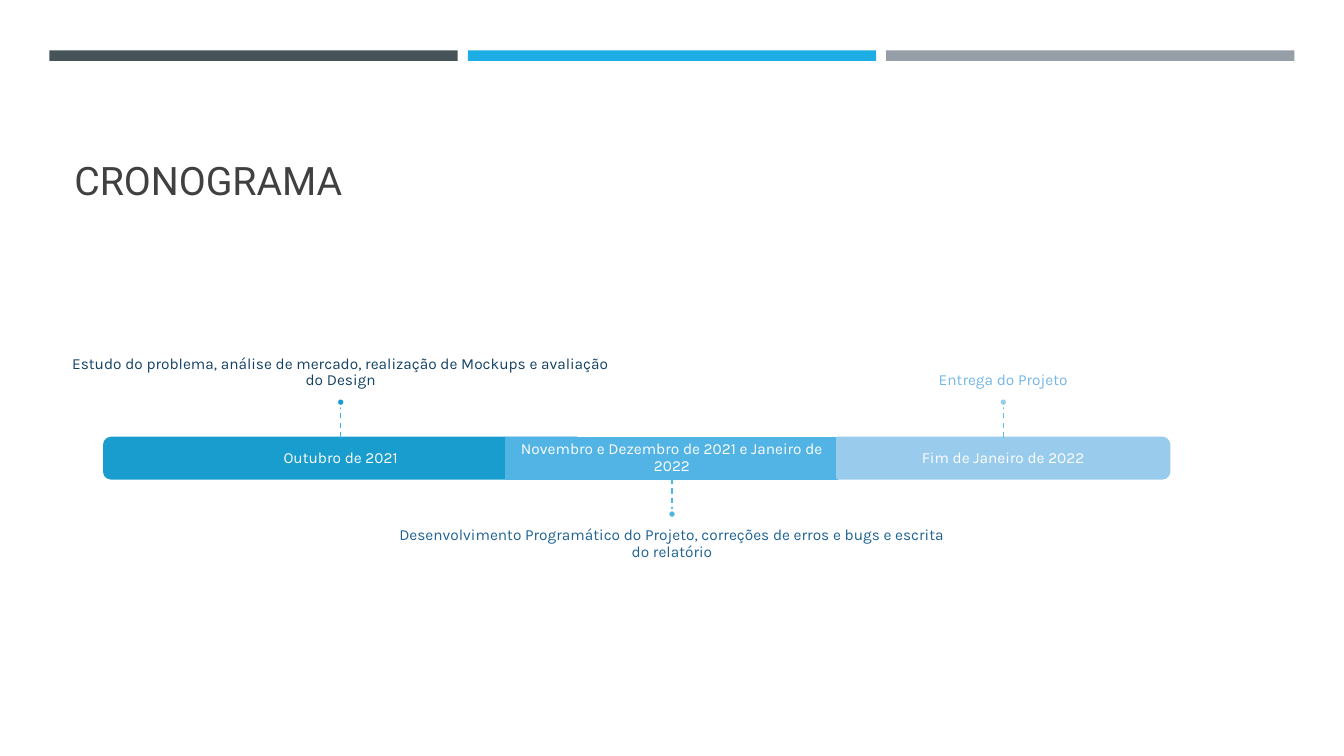
from collections import namedtuple

from lxml import etree
from pptx import Presentation
from pptx.dml.color import RGBColor
from pptx.enum.dml import MSO_LINE
from pptx.enum.shapes import MSO_CONNECTOR, MSO_SHAPE
from pptx.enum.text import MSO_ANCHOR, PP_ALIGN
from pptx.oxml.ns import qn
from pptx.util import Inches, Pt

RECTANGLE = MSO_SHAPE.RECTANGLE
ROUNDED_END = MSO_SHAPE.ROUND_2_SAME_RECTANGLE
OVAL = MSO_SHAPE.OVAL
STRAIGHT = MSO_CONNECTOR.STRAIGHT
DASH = MSO_LINE.DASH
TOP, MIDDLE, BOTTOM = MSO_ANCHOR.TOP, MSO_ANCHOR.MIDDLE, MSO_ANCHOR.BOTTOM
LEFT, CENTER = PP_ALIGN.LEFT, PP_ALIGN.CENTER

WIDTH, HEIGHT = Inches(13.33), Inches(7.5)
COLORS = {
    "white": "FFFFFF", "title": "404040",
    "slate": "465359", "cyan": "1CADE4", "gray": "969FA7",
    "start": "199DCF", "start_line": "36B3E9", "start_text": "134163",
    "work": "52B3E5", "work_line": "48B8EC", "work_text": "1D6294",
    "end": "99CBEC", "end_line": "5ABEEF", "end_text": "75B6E5",
}

BAND_CENTER, BAND_HALF = 60.6, 2.67
FIRST_CENTER, PHASE_PITCH = 25.35, 24.65
LINE_REACH, DOT_REACH, CAPTION_REACH = 6.87, 7.4, 7.93
CAPTION_WIDTH, CAPTION_HEIGHT = 41.11, 18.53
DOT_SIZE = Inches(0.08)

Phase = namedtuple("Phase", "color label caption width rotation side")
PHASES = [
    Phase("start", "Outubro de 2021",
          "Estudo do problema, análise de mercado, realização de Mockups e avaliação do Design",
          35.18, 270, -1),
    Phase("work", "Novembro e Dezembro de 2021 e Janeiro de 2022",
          "Desenvolvimento Programático do Projeto, correções de erros e bugs e escrita do relatório",
          24.68, None, 1),
    Phase("end", "Fim de Janeiro de 2022", "Entrega do Projeto", 24.68, 90, -1),
]


def across(percent):
    return round(WIDTH * percent / 100)


def down(percent):
    return round(HEIGHT * percent / 100)


def color(name):
    return RGBColor.from_string(COLORS[name])


def add_block(slide, kind, center_x, center_y, width, height, fill,
              outline=None, rotation=0):
    shape = slide.shapes.add_shape(
        kind, center_x - width // 2, center_y - height // 2, width, height)
    shape.shadow.inherit = False
    shape.rotation = rotation
    shape.fill.solid()
    shape.fill.fore_color.rgb = color(fill)
    if outline:
        shape.line.color.rgb = color(outline)
        shape.line.width = Pt(1.75)
    else:
        shape.line.fill.background()


def add_text(slide, text, left, top, width, height, *, ink, font="Karla", size=11,
             anchor=MIDDLE, align=CENTER, spacing=0.9, insets=(0.09, 0.09, 0.09, 0.09)):
    box = slide.shapes.add_textbox(across(left), down(top), across(width), down(height))
    frame = box.text_frame
    frame.word_wrap = True
    frame.vertical_anchor = anchor
    (frame.margin_left, frame.margin_top,
     frame.margin_right, frame.margin_bottom) = map(Inches, insets)
    paragraph = frame.paragraphs[0]
    paragraph.alignment = align
    paragraph.line_spacing = spacing
    run = paragraph.add_run()
    run.text = text
    run.font.name = font
    run.font.size = Pt(size)
    run.font.color.rgb = color(ink)


def add_dashed_line(slide, x, start, end, stroke):
    line = slide.shapes.add_connector(
        STRAIGHT, across(x), down(start), across(x), down(end))
    line.line.color.rgb = color(stroke)
    line.line.width = Pt(1)
    line.line.dash_style = DASH
    etree.SubElement(line._element.spPr, qn("a:effectLst"))


def add_header_bars(slide):
    for column, fill in enumerate(("slate", "cyan", "gray")):
        add_block(slide, RECTANGLE, across(18.87 + 31.13 * column), down(7.37),
                  across(30.38), down(1.4), fill)


def add_phase(slide, phase, center):
    length, thickness = across(phase.width), down(2 * BAND_HALF)
    middle = across(center), down(BAND_CENTER)
    if phase.rotation is None:
        add_block(slide, RECTANGLE, *middle, length, thickness, phase.color, phase.color)
    else:
        add_block(slide, ROUNDED_END, *middle, thickness, length, phase.color,
                  phase.color, phase.rotation)
    add_text(slide, phase.label, center - phase.width / 2, BAND_CENTER - BAND_HALF,
             phase.width, 2 * BAND_HALF, ink="white")

    edge = BAND_CENTER + phase.side * CAPTION_REACH
    above = phase.side < 0
    add_text(slide, phase.caption, center - CAPTION_WIDTH / 2,
             edge - CAPTION_HEIGHT if above else edge, CAPTION_WIDTH, CAPTION_HEIGHT,
             ink=phase.color + "_text", anchor=BOTTOM if above else TOP,
             insets=(0, 0, 0, 0.09) if above else (0, 0.09, 0, 0))
    add_dashed_line(slide, center, BAND_CENTER + phase.side * BAND_HALF,
                    BAND_CENTER + phase.side * LINE_REACH, phase.color + "_line")
    add_block(slide, OVAL, across(center), down(BAND_CENTER + phase.side * DOT_REACH),
              DOT_SIZE, DOT_SIZE, phase.color, "white")


def main():
    presentation = Presentation()
    presentation.slide_width, presentation.slide_height = WIDTH, HEIGHT
    slide = presentation.slides.add_slide(presentation.slide_layouts[6])
    add_header_bars(slide)
    add_text(slide, "CRONOGRAMA", 4.8, 10.27, 90.47, 17.33, ink="title", font="Roboto",
             size=28, anchor=BOTTOM, align=LEFT, spacing=1.0,
             insets=(0.1, 0.05, 0.1, 0.05))
    for index, phase in enumerate(PHASES):
        add_phase(slide, phase, FIRST_CENTER + PHASE_PITCH * index)
    presentation.save("out.pptx")


if __name__ == "__main__":
    main()
